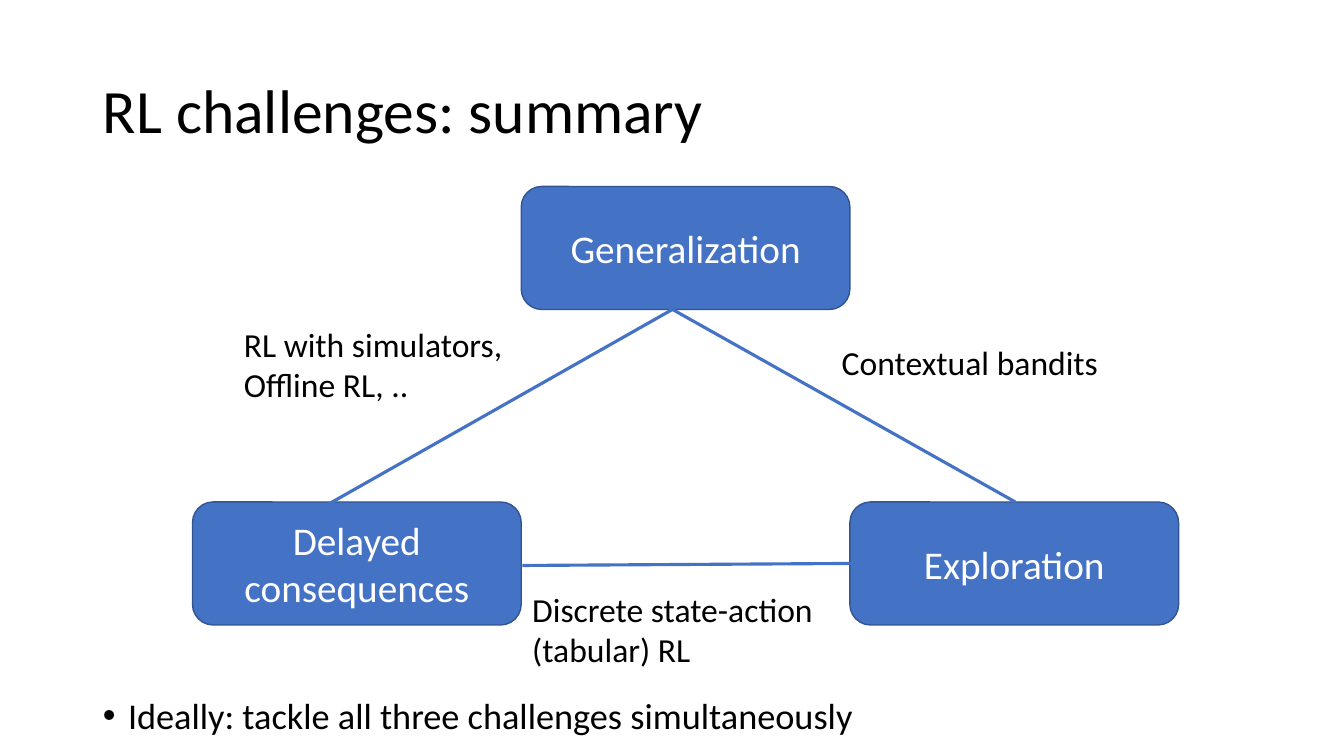
"""Build the slide that sums up three reinforcement learning challenges."""
from lxml import etree
from pptx import Presentation
from pptx.dml.color import RGBColor
from pptx.enum.shapes import MSO_CONNECTOR, MSO_SHAPE
from pptx.enum.text import MSO_ANCHOR, MSO_AUTO_SIZE, PP_ALIGN
from pptx.oxml.ns import qn
from pptx.util import Pt

LEFT, CENTER = PP_ALIGN.LEFT, PP_ALIGN.CENTER
MIDDLE, BOTTOM = MSO_ANCHOR.MIDDLE, MSO_ANCHOR.BOTTOM
ROUNDED, STRAIGHT = MSO_SHAPE.ROUNDED_RECTANGLE, MSO_CONNECTOR.STRAIGHT
NO_FIT = MSO_AUTO_SIZE.NONE

BLACK = RGBColor(0x00, 0x00, 0x00)
WHITE = RGBColor(0xFF, 0xFF, 0xFF)
BLUE = RGBColor(0x44, 0x72, 0xC4)
DARK_BLUE = RGBColor(0x32, 0x54, 0x91)
FONT = "Calibri"

TITLE = "RL challenges: summary"
BULLET = "Ideally: tackle all three challenges simultaneously"
CHALLENGES = [
    ("Generalization", 1, 185),
    ("Delayed consequences", 0, 498),
    ("Exploration", 2, 498),
]
LINKS = [
    ((667, 307), (1007, 498)),
    ((518, 561), (844, 559)),
    ((326, 500), (667, 307)),
]
LABELS = [
    (["Contextual bandits"], (825, 334, 277, 50)),
    (["Discrete state-action", "(tabular) RL"], (518, 579, 309, 91)),
    (["RL with simulators,", "Offline RL, .."], (232, 316, 279, 91)),
]

PX = 9144
NODE_LEFT, NODE_WIDTH, NODE_HEIGHT = 191, 326, 122
INDENT = 25


def scaled(*lengths):
    return [length * PX for length in lengths]


def write(frame, lines, size, color, align=LEFT):
    for index, line in enumerate(lines):
        para = frame.add_paragraph() if index else frame.paragraphs[0]
        para.alignment = align
        span = para.add_run()
        span.text = line
        span.font.name = FONT
        span.font.size = Pt(size)
        span.font.color.rgb = color


def fill_placeholder(holder, area, text, size, anchor, spacing):
    holder.left, holder.top, holder.width, holder.height = scaled(*area)
    frame = holder.text_frame
    frame.auto_size = NO_FIT
    frame.vertical_anchor = anchor
    write(frame, [text], size, BLACK)
    para = frame.paragraphs[0]
    para.line_spacing = spacing
    return para


def add_node(page, name, column, top):
    left = NODE_LEFT + column * NODE_WIDTH
    node = page.shapes.add_shape(ROUNDED, *scaled(left, top, NODE_WIDTH, NODE_HEIGHT))
    node.shadow.inherit = False
    node.fill.solid()
    node.fill.fore_color.rgb = BLUE
    node.line.color.rgb = DARK_BLUE
    node.line.width = Pt(1)
    node.text_frame.word_wrap = True
    node.text_frame.vertical_anchor = MIDDLE
    write(node.text_frame, [name], 28, WHITE, CENTER)


def add_link(page, start, end):
    link = page.shapes.add_connector(STRAIGHT, *scaled(*start, *end))
    link.line.color.rgb = BLUE
    link.line.width = Pt(2.25)
    etree.SubElement(link._element.spPr, qn("a:effectLst"))


def add_label(page, lines, area):
    box = page.shapes.add_textbox(*scaled(*area))
    box.text_frame.word_wrap = False
    write(box.text_frame, lines, 24, BLACK)


def main():
    deck = Presentation()
    deck.slide_width, deck.slide_height = scaled(1333, 750)
    page = deck.slides.add_slide(deck.slide_layouts[1])
    title, body = page.placeholders
    fill_placeholder(title, (92, 40, 1150, 145), TITLE, 44, MIDDLE, 0.9)
    para = fill_placeholder(body, (92, 200, 1150, 536), BULLET, 25.9, BOTTOM, 0.8)
    properties = para._p.get_or_add_pPr()
    properties.set("marL", str(INDENT * PX))
    properties.set("indent", str(-INDENT * PX))
    for challenge in CHALLENGES:
        add_node(page, *challenge)
    for link in LINKS:
        add_link(page, *link)
    for label in LABELS:
        add_label(page, *label)
    deck.save("out.pptx")


if __name__ == "__main__":
    main()
